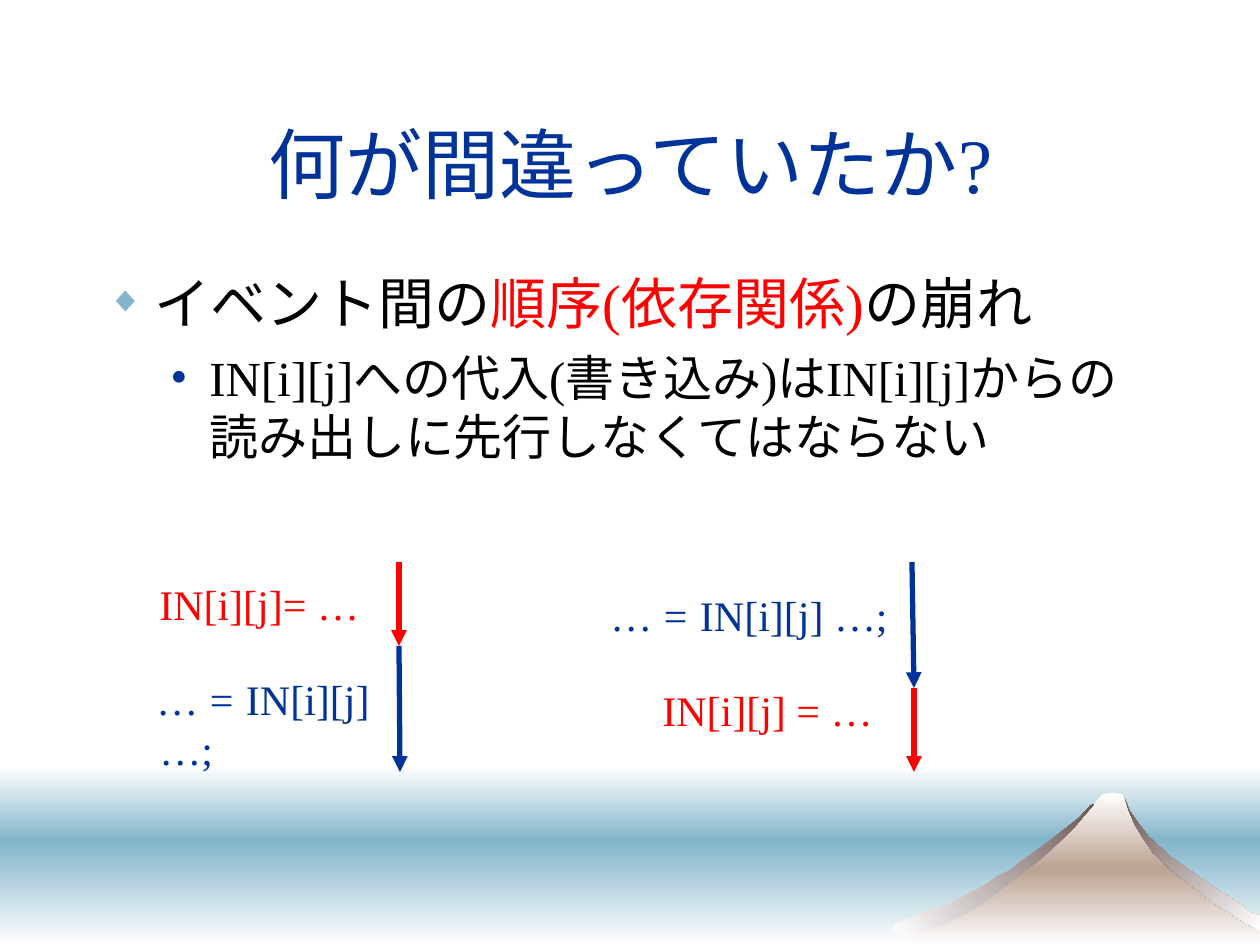
import copy
from typing import NamedTuple, Optional

import pptx
import pptx.util
import pptx.dml.color
import pptx.enum.lang
import pptx.enum.shapes
import pptx.enum.text
import pptx.oxml.ns
from lxml import etree

PX = 914400 / 126  # EMU per px
FONT = "Times New Roman"
COLORS = {"white": "FFFFFF", "black": "000000", "red": "FF0000", "navy": "003399",
          "lake": "82B5CA", "earth": "BCA392", "shade": "6B5653"}


class Band(NamedTuple):
    top: int
    height: int
    stops: tuple


class Outline(NamedTuple):
    points: tuple
    stops: tuple
    angle: int


class Run(NamedTuple):
    text: str
    color: Optional[str] = None
    italic: bool = False


class Bullet(NamedTuple):
    char: str
    color: str
    percent: int
    left: int
    hang: int


class Para(NamedTuple):
    runs: tuple
    size: int
    color: str
    before: int = 0
    bullet: Optional[Bullet] = None


class Box(NamedTuple):
    x: int
    y: int
    w: int
    h: int
    paras: tuple
    centered: bool = False


class Arrow(NamedTuple):
    x1: int
    y1: int
    x2: int
    y2: int
    color: str


BANDS = (Band(766, 74, ("white", "lake")), Band(840, 105, ("lake", "white")))

MOUNTAIN = (
    # Body
    Outline(((896, 945), (995, 888), (1058, 839), (1095, 803), (1102, 795), (1109, 793),
             (1116, 793), (1123, 795), (1138, 828), (1162, 857), (1220, 897), (1260, 924),
             (1260, 945)), ("white", "earth", "white"), 90),
    # Right ridge
    Outline(((1153, 853), (1173, 872), (1194, 888), (1211, 901), (1247, 924), (1260, 931),
             (1260, 916), (1252, 913), (1234, 900), (1222, 893), (1171, 857), (1149, 837),
             (1139, 824), (1130, 811), (1126, 801), (1124, 796), (1129, 811), (1135, 825),
             (1143, 838), (1148, 845)), ("shade", "white"), 45),
    # Left ridge
    Outline(((1048, 842), (1007, 872), (998, 876), (985, 885), (946, 906), (926, 911),
             (907, 919), (895, 924), (892, 929), (895, 931), (900, 932), (907, 934),
             (920, 931), (931, 929), (945, 924), (969, 912), (983, 903), (990, 898),
             (1042, 858), (1072, 830), (1089, 810), (1094, 804), (1090, 806), (1079, 818)),
            ("white", "shade"), 315),
)

WRITE_FIRST = Para((Run("IN[i][j]= …"),), 24, "red")
WRITE_LAST = Para((Run("IN[i][j] = …"),), 24, "red")
READ = Para((Run("… = ", italic=True), Run("IN[i][j] …;")), 24, "navy")

BOXES = (
    Box(95, 84, 1071, 158, (Para((Run("何が間違っていたか?"),), 44, "navy"),), True),
    Box(95, 262, 1071, 567, (
        Para((Run("イベント間の"), Run("順序(依存関係)", "red"), Run("の崩れ")),
             32, "black", 0, Bullet("◆", "lake", 65, 47, 47)),
        Para((Run("IN[i][j]への代入(書き込み)はIN[i][j]からの読み出しに先行しなくてはならない"),),
             28, "black", 7, Bullet("•", "navy", 100, 102, 39)),
    )),
    Box(147, 572, 242, 63, (WRITE_FIRST,)),
    Box(147, 667, 251, 113, (READ,)),
    Box(650, 678, 243, 63, (WRITE_LAST,)),
    Box(601, 583, 301, 63, (READ,)),
)

ARROWS = (
    Arrow(399, 562, 399, 646, "red"),
    Arrow(399, 646, 400, 772, "navy"),
    Arrow(914, 688, 914, 772, "red"),
    Arrow(912, 562, 914, 688, "navy"),
)


def emu(px: float) -> int:
    return round(px * PX)


def rgb(name: str) -> pptx.dml.color.RGBColor:
    return pptx.dml.color.RGBColor.from_string(COLORS[name])


def sub(parent, tag: str, **attrs: str):
    return etree.SubElement(parent, pptx.oxml.ns.qn(tag), **attrs)


def paint(sp, stops: tuple, angle: int) -> None:
    """Fill with evenly spaced gradient stops; the angle runs clockwise."""
    sp.shadow.inherit = False
    sp.line.fill.background()
    sp.fill.gradient()
    sp.fill.gradient_angle = 360 - angle
    gs_list = sp._element.spPr.find(".//" + pptx.oxml.ns.qn("a:gsLst"))
    while len(gs_list) < len(stops):
        gs_list.append(copy.deepcopy(gs_list[-1]))
    for i, (stop, name) in enumerate(zip(sp.fill.gradient_stops, stops)):
        stop.position = i / (len(stops) - 1)
        stop.color.rgb = rgb(name)


def draw_band(s, band: Band) -> None:
    sp = s.shapes.add_shape(pptx.enum.shapes.MSO_SHAPE.RECTANGLE,
                            0, emu(band.top), emu(1260), emu(band.height))
    paint(sp, band.stops, 90)


def draw_outline(s, outline: Outline) -> None:
    first, *rest = outline.points
    builder = s.shapes.build_freeform(*first, scale=PX)
    builder.add_line_segments(rest, close=True)
    paint(builder.convert_to_shape(), outline.stops, outline.angle)


def add_bullet(p, bullet: Bullet) -> None:
    ppr = p._p.get_or_add_pPr()
    ppr.set("marL", str(emu(bullet.left)))
    ppr.set("indent", str(-emu(bullet.hang)))
    sub(sub(ppr, "a:buClr"), "a:srgbClr", val=COLORS[bullet.color])
    sub(ppr, "a:buSzPct", val=str(bullet.percent * 1000))
    sub(ppr, "a:buFont", typeface=FONT)
    sub(ppr, "a:buChar", char=bullet.char)


def draw_box(s, box: Box) -> None:
    sp = s.shapes.add_textbox(emu(box.x), emu(box.y), emu(box.w), emu(box.h))
    tf = sp.text_frame
    tf.word_wrap = True
    if box.centered:
        tf.vertical_anchor = pptx.enum.text.MSO_ANCHOR.MIDDLE
    for i, para in enumerate(box.paras):
        p = tf.add_paragraph() if i else tf.paragraphs[0]
        if para.before:
            p.space_before = pptx.util.Pt(para.before)
        if box.centered:
            p.alignment = pptx.enum.text.PP_ALIGN.CENTER
        if para.bullet:
            add_bullet(p, para.bullet)
        p.font.name = FONT
        p.font.size = pptx.util.Pt(para.size)
        p.font.color.rgb = rgb(para.color)
        for run in para.runs:
            r = p.add_run()
            r.text = run.text
            r.font.language_id = pptx.enum.lang.MSO_LANGUAGE_ID.JAPANESE
            if run.color:
                r.font.color.rgb = rgb(run.color)
            if run.italic:
                r.font.italic = True


def draw_arrow(s, a: Arrow) -> None:
    c = s.shapes.add_connector(pptx.enum.shapes.MSO_CONNECTOR.STRAIGHT,
                               emu(a.x1), emu(a.y1), emu(a.x2), emu(a.y2))
    c.line.color.rgb = rgb(a.color)
    c.line.width = pptx.util.Pt(3)
    sub(c.line._get_or_add_ln(), "a:tailEnd", type="triangle")
    sub(c._element.spPr, "a:effectLst")


def main() -> None:
    prs = pptx.Presentation()
    prs.slide_width, prs.slide_height = emu(1260), emu(945)
    s = prs.slides.add_slide(prs.slide_layouts[6])
    # Lake and mountain backdrop
    for band in BANDS:
        draw_band(s, band)
    for outline in MOUNTAIN:
        draw_outline(s, outline)
    # Event order arrows, then title, body and labels
    for arrow in ARROWS:
        draw_arrow(s, arrow)
    for box in BOXES:
        draw_box(s, box)
    prs.save("out.pptx")


if __name__ == "__main__":
    main()
